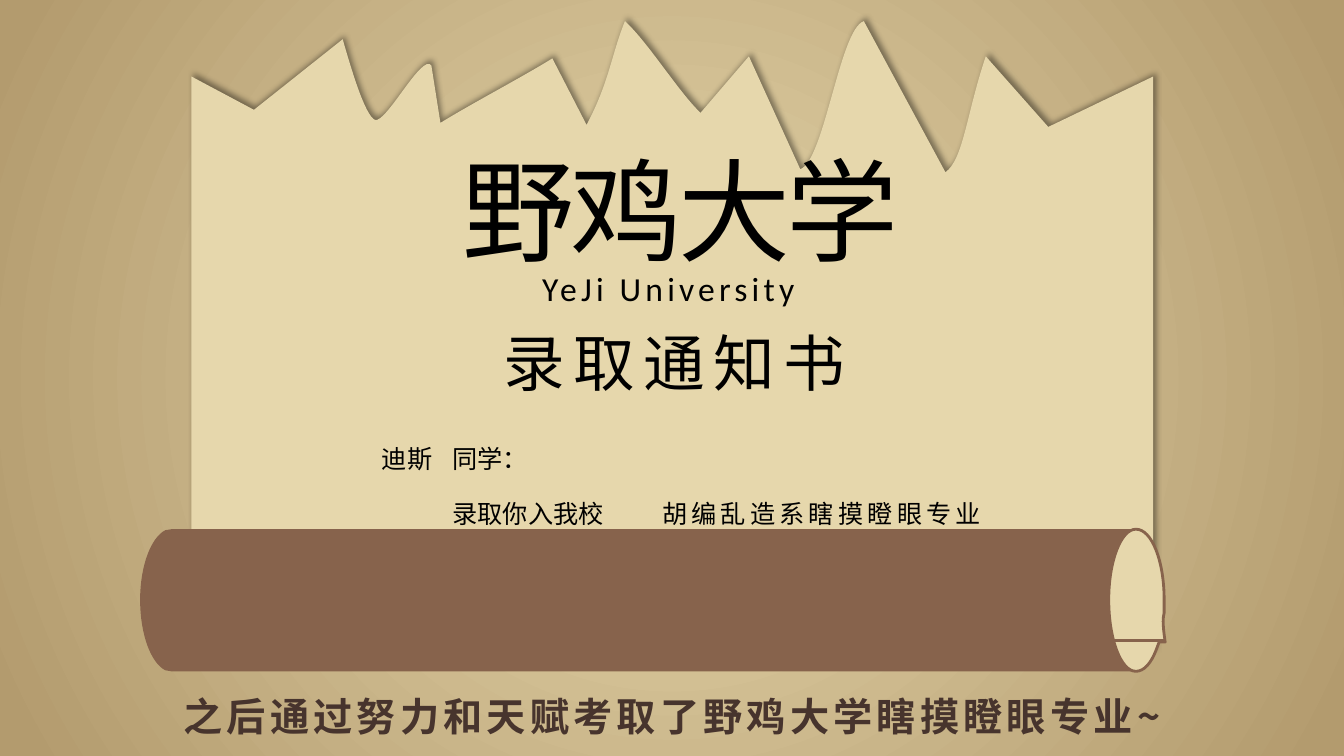
from dataclasses import dataclass

import pptx
import pptx.dml.color
import pptx.enum.shapes
import pptx.enum.text
import pptx.oxml
import pptx.oxml.ns
import pptx.util

RGB = pptx.dml.color.RGBColor
ALIGN = pptx.enum.text.PP_ALIGN
PAPER = RGB(0xE6, 0xD7, 0xAC)
EDGE = RGB(0xB3, 0x9B, 0x6E)
ROLL = RGB(0x87, 0x63, 0x4C)
INK = RGB(0, 0, 0)
BROWN = RGB(0x47, 0x34, 0x2D)
HAN = "Noto Sans CJK SC"
NS = pptx.oxml.ns.nsdecls("a")
SCALE = 9144  # EMU per px, 100 px to the inch


@dataclass(frozen=True)
class Label:
    text: str
    box: tuple[int, int, int, int]
    size: int
    face: str
    gap: int = 0
    color: RGB = INK
    bold: bool = False
    align: ALIGN = ALIGN.LEFT


@dataclass(frozen=True)
class Outline:
    """Two numbers in a segment mean a line, six a Bezier curve."""
    start: tuple[int, int]
    segs: tuple[tuple[int, ...], ...]
    fill: RGB
    line: RGB | None = None


SHEET = Outline((190, 76), (
    (252, 109), (340, 39), (349, 70, 362, 114, 372, 119),
    (383, 123, 419, 52, 428, 65), (437, 122),
    (464, 105, 521, 75, 548, 58), (582, 124),
    (605, 80, 606, 56, 620, 21), (643, 42, 673, 91, 695, 112),
    (743, 56), (794, 168), (818, 159, 833, 29, 857, 21),
    (938, 171), (956, 158, 959, 112, 978, 56), (1040, 126),
    (1144, 76), (1144, 647), (190, 647)), PAPER)
TUBE = Outline((170, 525), (
    (1124, 525), (1124, 666), (170, 666), (164, 665),
    (150, 658, 139, 630, 139, 595), (139, 561, 150, 533, 164, 526)), ROLL)
CURL = Outline((1127, 525), (
    (1143, 525, 1155, 557, 1155, 595), (1155, 608),
    (1154, 613, 1153, 616, 1156, 637), (1150, 637), (1147, 645),
    (1142, 658, 1135, 666, 1127, 666), (1112, 666, 1100, 634, 1100, 595),
    (1100, 557, 1112, 525, 1127, 525)), PAPER, ROLL)

TITLE = Label("野鸡大学", (449, 135, 452, 145), 80, HAN, -3)
LABELS = (
    Label("YeJi University", (528, 261, 277, 50), 24, "Calibri", 3),
    Label("录取通知书", (490, 317, 371, 84), 44, "Arial", 6),
    Label("迪斯", (369, 435, 71, 40), 18, HAN),
    Label("同学：", (439, 435, 96, 40), 18, "Calibri"),
    Label("录取你入我校", (439, 489, 172, 40), 18, "Calibri"),
    Label("胡编乱造系瞎摸瞪眼专业", (647, 489, 344, 40), 18, HAN, 3),
    Label("之后通过努力和天赋考取了野鸡大学瞎摸瞪眼专业~",
          (161, 682, 1011, 57), 28, HAN, 3, BROWN, True, ALIGN.CENTER),
)


def emu(px: int) -> int:
    return px * SCALE


def apply(target: object, values: dict[str, object]) -> None:
    for name, value in values.items():
        setattr(target, name, value)


def bend(form, shape: Outline, ends: list[tuple[int, ...]]) -> None:
    """Swap the straight chords of the curved segments for curves."""
    left = min(x for x, _ in ends)
    top = min(y for _, y in ends)
    chords = form.element.xpath(".//a:lnTo")
    for chord, seg in zip(chords, shape.segs):
        if len(seg) == 6:
            dots = "".join(f'<a:pt x="{x - left}" y="{y - top}"/>'
                           for x, y in zip(seg[::2], seg[1::2]))
            curve = f"<a:cubicBezTo {NS}>{dots}</a:cubicBezTo>"
            chord.getparent().replace(chord, pptx.oxml.parse_xml(curve))


def draw(slide: pptx.slide.Slide, shape: Outline):
    ends = [shape.start, *(seg[-2:] for seg in shape.segs)]
    pen = slide.shapes.build_freeform(*shape.start, scale=SCALE)
    pen.add_line_segments(ends[1:], close=True)
    form = pen.convert_to_shape()
    bend(form, shape, ends)
    form.fill.solid()
    form.fill.fore_color.rgb = shape.fill
    if shape.line is None:
        form.line.fill.background()
    else:
        form.line.color.rgb = shape.line
        form.line.width = pptx.util.Pt(2)
    form.shadow.inherit = False
    return form


def write(shape, label: Label) -> None:
    names = ("left", "top", "width", "height")
    apply(shape, dict(zip(names, map(emu, label.box))))
    frame = shape.text_frame
    apply(frame, {
        "word_wrap": False,
        "auto_size": pptx.enum.text.MSO_AUTO_SIZE.SHAPE_TO_FIT_TEXT,
        "vertical_anchor": pptx.enum.text.MSO_ANCHOR.TOP,
    })
    line = frame.paragraphs[0]
    line.alignment = label.align
    run = line.add_run()
    run.text = label.text
    apply(run.font, {"size": pptx.util.Pt(label.size), "bold": label.bold,
                     "name": label.face})
    run.font.color.rgb = label.color
    props = run._r.get_or_add_rPr()
    props.set("lang", "zh-CN")
    props.set("spc", str(label.gap * 100))
    props.append(pptx.oxml.parse_xml(f'<a:ea {NS} typeface="{HAN}"/>'))


def paint(slide: pptx.slide.Slide) -> None:
    """Fill the background with a round gradient."""
    fill = slide.background.fill
    fill.gradient()
    for stop, color, place in zip(fill.gradient_stops, (PAPER, EDGE), (0, 0.97)):
        stop.color.rgb = color
        stop.position = place
    grad = slide._element.xpath(".//p:bg//a:gradFill")[0]
    for lin in grad.xpath("a:lin"):
        grad.remove(lin)
    grad.append(pptx.oxml.parse_xml(
        f'<a:path {NS} path="circle"><a:fillToRect '
        'l="50000" t="50000" r="50000" b="50000"/></a:path>'))


def main() -> None:
    deck = pptx.Presentation()
    apply(deck, {"slide_width": pptx.util.Inches(40) // 3,
                 "slide_height": pptx.util.Inches(7.5)})
    slide = deck.slides.add_slide(deck.slide_layouts[5])
    paint(slide)

    # Torn sheet with its shadow
    sheet = draw(slide, SHEET)
    sheet.element.spPr.xpath("a:effectLst")[0].append(pptx.oxml.parse_xml(
        f'<a:outerShdw {NS} blurRad="50800" dist="38100" dir="18900000" '
        'algn="bl" rotWithShape="0"><a:srgbClr val="000000">'
        '<a:alpha val="40000"/></a:srgbClr></a:outerShdw>'))

    # Wording, with the title lifted above the sheet
    title = slide.shapes.title
    sheet.element.addnext(title.element)
    write(title, TITLE)
    title.text_frame.margin_right = 0  # room for one line
    for label in LABELS:
        write(slide.shapes.add_textbox(0, 0, 0, 0), label)

    # Rolled end of the scroll
    draw(slide, TUBE)
    draw(slide, CURL)
    seam = slide.shapes.add_connector(
        pptx.enum.shapes.MSO_CONNECTOR.STRAIGHT,
        emu(1156), emu(635), emu(1101), emu(635))
    seam.line.color.rgb = ROLL
    seam.line.width = pptx.util.Pt(2.25)
    seam.element.spPr.append(pptx.oxml.parse_xml(f"<a:effectLst {NS}/>"))

    deck.save("out.pptx")


if __name__ == "__main__":
    main()
